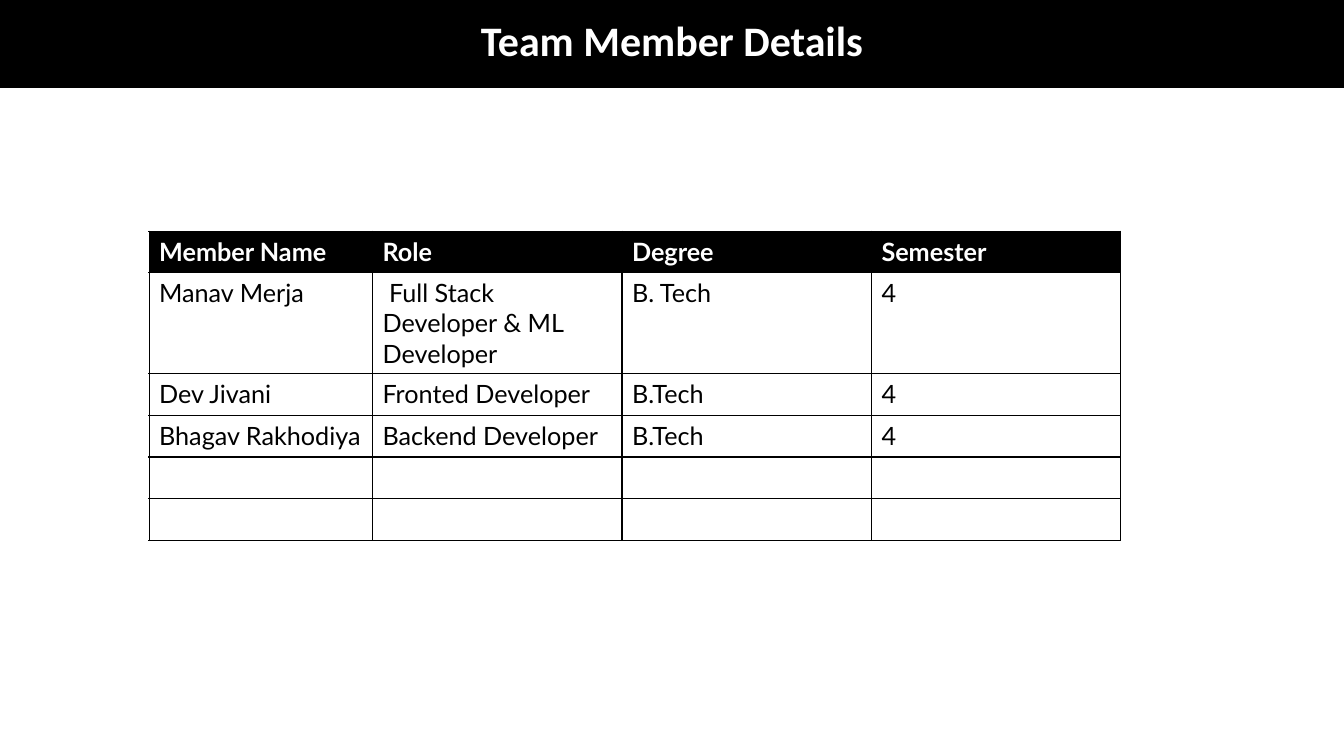
from dataclasses import dataclass

from lxml import etree
from pptx import Presentation
from pptx.dml.color import RGBColor
from pptx.enum.shapes import MSO_SHAPE
from pptx.enum.text import MSO_ANCHOR, PP_ALIGN
from pptx.oxml.ns import qn
from pptx.slide import Slide
from pptx.table import _Cell
from pptx.text.text import _Paragraph
from pptx.util import Pt

RECTANGLE = MSO_SHAPE.RECTANGLE
MIDDLE = MSO_ANCHOR.MIDDLE
CENTER = PP_ALIGN.CENTER


@dataclass(frozen=True)
class Theme:
    black: RGBColor = RGBColor(0x00, 0x00, 0x00)
    white: RGBColor = RGBColor(0xFF, 0xFF, 0xFF)
    title_font: str = "Calibri"
    table_font: str = "Lato"
    title_size: float = 30
    table_size: float = 18
    band_line: float = 1.5
    grid_line: float = 1


@dataclass(frozen=True)
class Member:
    name: str = ""
    role: str = ""
    degree: str = ""
    semester: str = ""

    def values(self) -> tuple[str, ...]:
        return self.name, self.role, self.degree, self.semester


THEME = Theme()
SLIDE_WIDTH, SLIDE_HEIGHT = 960, 540
BAND_TOP, BAND_HEIGHT, BAND_INSET = -0.7, 62.6, 9.4
TABLE_LEFT, TABLE_TOP = 106.5, 165.1
COLUMN_WIDTHS = (159.6, 178.2, 178.2, 178.2)
ROW_HEIGHT, WRAPPED_ROW_HEIGHT = 29.8, 72
WRAPPED_ROW = 1

HEADINGS = Member("Member Name", "Role", "Degree", "Semester")
MEMBERS = (
    Member("Manav Merja", " Full Stack Developer & ML Developer", "B. Tech", "4"),
    Member("Dev Jivani", "Fronted Developer", "B.Tech", "4"),
    Member("Bhagav Rakhodiya", "Backend Developer", "B.Tech", "4"),
    Member(),
    Member(),
)


def style_text(paragraph: _Paragraph, family: str, size: float, color: RGBColor, bold: bool) -> None:
    font = paragraph.font
    font.name = family
    font.size = Pt(size)
    font.bold = bold
    font.color.rgb = color


def add_title_band(slide: Slide, title: str) -> None:
    band = slide.shapes.add_shape(RECTANGLE, Pt(0), Pt(BAND_TOP), Pt(SLIDE_WIDTH), Pt(BAND_HEIGHT))
    band.shadow.inherit = False
    band.fill.solid()
    band.fill.fore_color.rgb = THEME.black
    band.line.color.rgb = THEME.black
    band.line.width = Pt(THEME.band_line)

    frame = band.text_frame
    frame.word_wrap = True
    frame.vertical_anchor = MIDDLE
    frame.margin_left = frame.margin_right = Pt(BAND_INSET)
    frame.margin_top = frame.margin_bottom = Pt(BAND_INSET)
    heading = frame.paragraphs[0]
    heading.text = title
    heading.alignment = CENTER
    heading.line_spacing = 0.9
    style_text(heading, THEME.title_font, THEME.title_size, THEME.white, True)


def add_borders(cell: _Cell) -> None:
    """Rule all four sides; borders must precede the fill in the cell properties."""
    properties = cell._tc.get_or_add_tcPr()
    for position, side in enumerate(("a:lnL", "a:lnR", "a:lnT", "a:lnB")):
        border = etree.Element(qn(side), w=str(Pt(THEME.grid_line)))
        fill = etree.SubElement(border, qn("a:solidFill"))
        etree.SubElement(fill, qn("a:srgbClr"), val=str(THEME.black))
        properties.insert(position, border)


def fill_cell(cell: _Cell, value: str, is_heading: bool) -> None:
    cell.fill.solid()
    cell.fill.fore_color.rgb = THEME.black if is_heading else THEME.white
    add_borders(cell)
    paragraph = cell.text_frame.paragraphs[0]
    paragraph.text = value
    text_color = THEME.white if is_heading else THEME.black
    style_text(paragraph, THEME.table_font, THEME.table_size, text_color, is_heading)


def add_member_table(slide: Slide) -> None:
    records = (HEADINGS, *MEMBERS)
    heights = [WRAPPED_ROW_HEIGHT if row == WRAPPED_ROW else ROW_HEIGHT for row in range(len(records))]
    table = slide.shapes.add_table(
        len(records), len(COLUMN_WIDTHS),
        Pt(TABLE_LEFT), Pt(TABLE_TOP), Pt(sum(COLUMN_WIDTHS)), Pt(sum(heights)),
    ).table
    for column, width in zip(table.columns, COLUMN_WIDTHS):
        column.width = Pt(width)
    for row, height, record in zip(table.rows, heights, records):
        row.height = Pt(height)
        for cell, value in zip(row.cells, record.values()):
            fill_cell(cell, value, record is HEADINGS)


def main() -> None:
    presentation = Presentation()
    presentation.slide_width = Pt(SLIDE_WIDTH)
    presentation.slide_height = Pt(SLIDE_HEIGHT)
    slide = presentation.slides.add_slide(presentation.slide_layouts[6])
    add_title_band(slide, "Team Member Details")
    add_member_table(slide)
    presentation.save("out.pptx")


if __name__ == "__main__":
    main()
